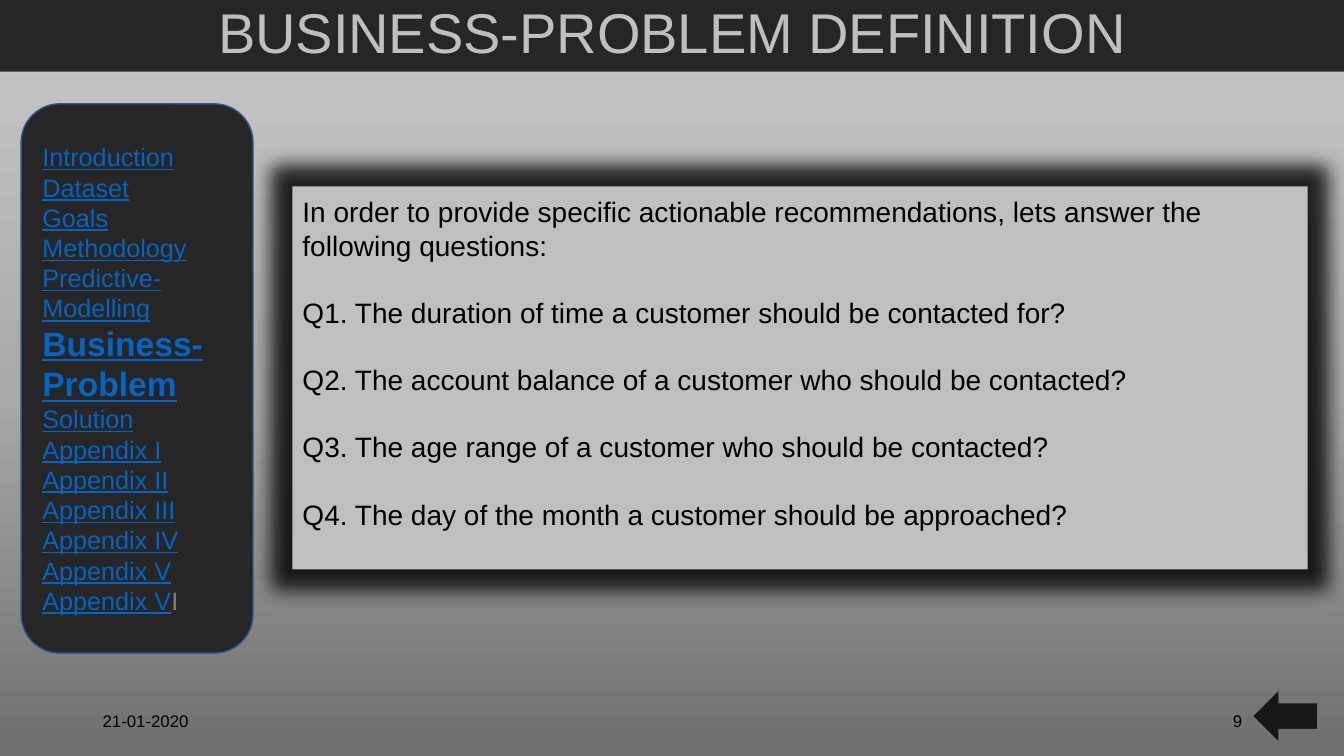
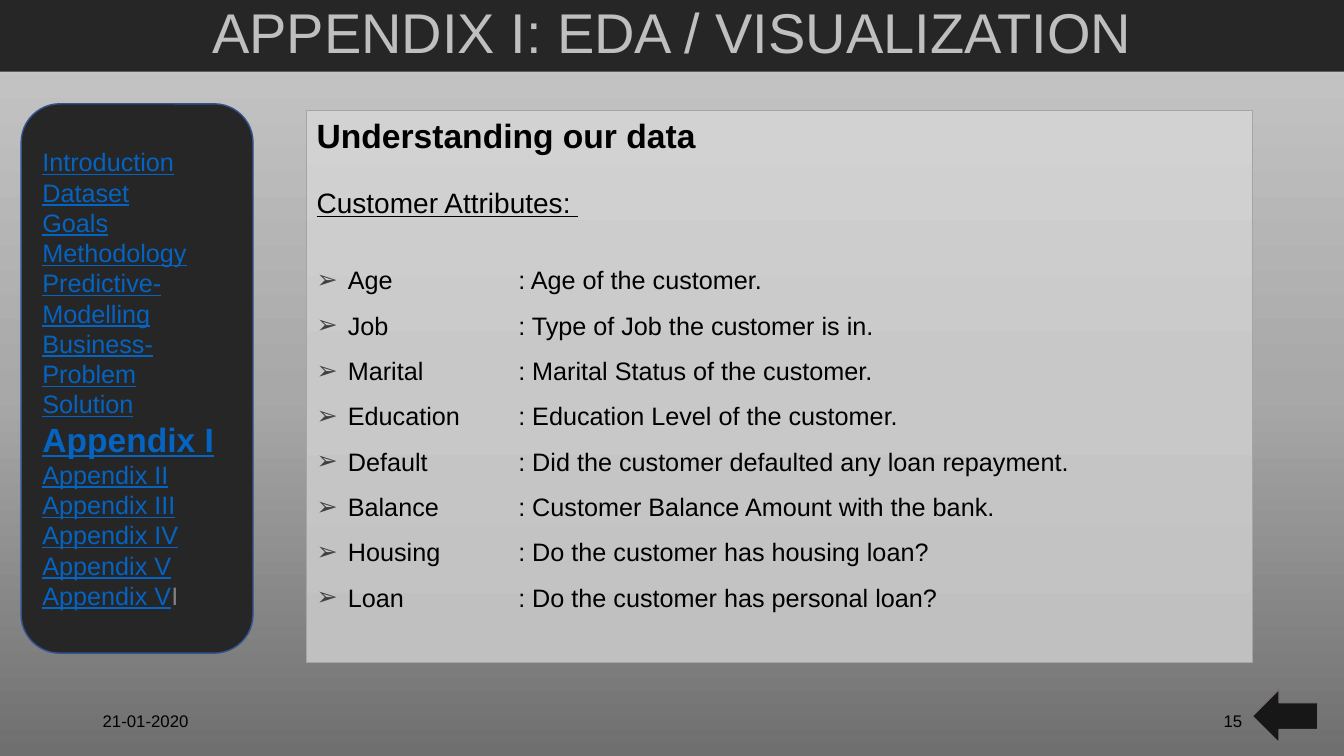
"""Build two slides of a bank marketing report with a shared navigation panel."""
from dataclasses import dataclass

from lxml import etree
from pptx import Presentation
from pptx.dml.color import RGBColor
from pptx.enum.shapes import MSO_SHAPE
from pptx.enum.text import MSO_ANCHOR, MSO_AUTO_SIZE, PP_ALIGN
from pptx.oxml.ns import qn
from pptx.util import Inches, Pt

LEFT, CENTER, RIGHT = PP_ALIGN.LEFT, PP_ALIGN.CENTER, PP_ALIGN.RIGHT
TOP, MIDDLE = MSO_ANCHOR.TOP, MSO_ANCHOR.MIDDLE
NO_FIT = MSO_AUTO_SIZE.NONE
NAV_SHAPE, BACK_ARROW = MSO_SHAPE.FLOWCHART_ALTERNATE_PROCESS, MSO_SHAPE.LEFT_ARROW


@dataclass(frozen=True)
class Theme:
    """Colours, fonts and type sizes of the deck."""
    font: str = "Arial"
    band: str = "262626"
    silver: str = "BFBFBF"
    text: str = "000000"
    link: str = "0563C1"
    muted: str = "808080"
    nav_line: str = "325491"
    arrow: str = "181717"
    arrow_line: str = "767171"
    panel_line: str = "A5A5A5"
    bullet: str = "404040"
    backdrop: tuple = ((0, "6F6F6F"), (48, "A8A8A8"), (100, "C9C9C9"))
    panel: tuple = ((0, "D2D2D2"), (50, "C8C8C8"), (100, "C0C0C0"))
    title_size: int = 40
    heading_size: int = 24
    body_size: int = 20
    list_size: int = 18
    footer_size: int = 12


@dataclass(frozen=True)
class Area:
    """A rectangle in inches."""
    left: float
    top: float
    width: float
    height: float


@dataclass(frozen=True)
class Span:
    """A run of text with its own look."""
    text: str
    size: int
    color: str
    bold: bool = False
    underline: bool = False


@dataclass(frozen=True)
class Line:
    """A paragraph with its spacing."""
    spans: tuple
    align: PP_ALIGN = LEFT
    after: float = 0
    spacing: float = 1.0
    bullet: bool = False


THEME = Theme()
TITLE = Area(0, 0, 13.33, 0.71)
DATE = Area(0.92, 6.95, 3, 0.4)
NUMBER = Area(9.42, 6.95, 3, 0.4)
NAV = Area(0.21, 1.03, 2.3, 5.45)
ARROW = Area(12.42, 6.84, 0.65, 0.53)
QUESTIONS = Area(2.9, 1.85, 10.07, 3.8)
ATTRIBUTES = Area(3.04, 1.09, 9.38, 5.48)
BULLET_INDENT, TAB_STOP = 0.31, 2.0

NAV_ITEMS = (
    "Introduction", "Dataset", "Goals", "Methodology", "Predictive-Modelling",
    "Business-Problem", "Solution", "Appendix I", "Appendix II",
    "Appendix III", "Appendix IV", "Appendix V",
)
QUESTION_LINES = (
    "In order to provide specific actionable recommendations, "
    "lets answer the following questions:",
    "Q1. The duration of time a customer should be contacted for?",
    "Q2. The account balance of a customer who should be contacted?",
    "Q3. The age range of a customer who should be contacted?",
    "Q4. The day of the month a customer should be approached?",
)
ATTRIBUTE_ROWS = (
    ("Age", "Age of the customer."),
    ("Job", "Type of Job the customer is in."),
    ("Marital", "Marital Status of the customer."),
    ("Education", "Education Level of the customer."),
    ("Default", "Did the customer defaulted any loan repayment."),
    ("Balance", "Customer Balance Amount with the bank."),
    ("Housing", "Do the customer has housing loan?"),
    ("Loan", "Do the customer has personal loan?"),
)


def add_node(parent, tag: str, **attributes):
    """Append an XML element and return it."""
    node = etree.SubElement(parent, qn(tag))
    for name, value in attributes.items():
        node.set(name, str(value))
    return node


def add_color(parent, color: str, opacity: int = 100) -> None:
    """Append an RGB colour, transparent if asked."""
    node = add_node(parent, "a:srgbClr", val=color)
    if opacity < 100:
        add_node(node, "a:alpha", val=opacity * 1000)


def set_gradient(holder, stops: tuple, angle: int) -> None:
    """Swap the solid fill of an element for a linear gradient."""
    solid = holder.find(qn("a:solidFill"))
    gradient = etree.Element(qn("a:gradFill"), rotWithShape="1")
    stop_list = add_node(gradient, "a:gsLst")
    for position, color in stops:
        add_color(add_node(stop_list, "a:gs", pos=position * 1000), color)
    add_node(gradient, "a:lin", ang=angle * 60000, scaled=0)
    holder.replace(solid, gradient)


def set_halo(box) -> None:
    """Surround a shape with a dark glow and a soft shadow."""
    box.shadow.inherit = False
    effects = box.element.spPr.find(qn("a:effectLst"))
    add_color(add_node(effects, "a:glow", rad=Pt(28)), THEME.text, 75)
    shadow = add_node(effects, "a:outerShdw", blurRad=Pt(5), dist=0, dir=0)
    add_color(shadow, THEME.text, 40)


def place(box, area: Area) -> None:
    """Move and size a shape."""
    box.left, box.top = Inches(area.left), Inches(area.top)
    box.width, box.height = Inches(area.width), Inches(area.height)


def paint(box, fill: str) -> None:
    """Give a shape a solid fill."""
    box.fill.solid()
    box.fill.fore_color.rgb = RGBColor.from_string(fill)


def outline(box, color: str, width: float) -> None:
    """Give a shape a coloured outline."""
    box.line.color.rgb = RGBColor.from_string(color)
    box.line.width = Pt(width)


def write(box, lines: list[Line], anchor: MSO_ANCHOR = MIDDLE) -> None:
    """Fill a shape with paragraphs, run by run."""
    frame = box.text_frame
    frame.word_wrap, frame.auto_size = True, NO_FIT
    frame.vertical_anchor = anchor
    for index, line in enumerate(lines):
        para = frame.paragraphs[0] if index == 0 else frame.add_paragraph()
        para.alignment, para.line_spacing = line.align, line.spacing
        para.space_before, para.space_after = Pt(0), Pt(line.after)
        set_bullet(para, line.bullet)
        for span in line.spans:
            run = para.add_run()
            run.text = span.text
            font = run.font
            font.name, font.size = THEME.font, Pt(span.size)
            font.bold, font.underline = span.bold, span.underline
            font.color.rgb = RGBColor.from_string(span.color)


def set_bullet(para, shown: bool) -> None:
    """Set the indents, bullet and tab stop of a paragraph."""
    properties = para._p.get_or_add_pPr()
    indent = Inches(BULLET_INDENT) if shown else 0
    properties.set("marL", str(indent))
    properties.set("indent", str(-indent))
    if not shown:
        add_node(properties, "a:buNone")
        return
    add_color(add_node(properties, "a:buClr"), THEME.bullet)
    add_node(properties, "a:buFont", typeface=THEME.font)
    add_node(properties, "a:buChar", char="➢")
    tabs = add_node(properties, "a:tabLst")
    add_node(tabs, "a:tab", pos=Inches(TAB_STOP), algn="l")


def add_shape(page, kind: MSO_SHAPE, area: Area, fill: str, line: str):
    """Draw an outlined preset shape without a shadow."""
    box = page.shapes.add_shape(kind, 0, 0, 0, 0)
    place(box, area)
    paint(box, fill)
    outline(box, line, 1)
    box.shadow.inherit = False
    return box


def add_footer(page, area: Area, text: str, align: PP_ALIGN) -> None:
    """Write one footer text."""
    box = page.shapes.add_textbox(0, 0, 0, 0)
    place(box, area)
    write(box, [Line((Span(text, THEME.footer_size, THEME.text),), align)])


def add_navigation(page, current: str) -> None:
    """Draw the contents panel with the current section enlarged."""
    box = add_shape(page, NAV_SHAPE, NAV, THEME.band, THEME.nav_line)
    lines = []
    for item in NAV_ITEMS:
        active = item == current
        size = THEME.heading_size if active else THEME.list_size
        lines.append(Line((Span(item, size, THEME.link, active, True),)))
    lines.append(Line((
        Span("Appendix V", THEME.list_size, THEME.link, underline=True),
        Span("I", THEME.list_size, THEME.muted),
    )))
    write(box, lines)


def add_page(deck, title: str, number: int, section: str):
    """Add a slide with the shared parts and return its body placeholder."""
    page = deck.slides.add_slide(deck.slide_layouts[1])
    heading, body = page.shapes.title, page.placeholders[1]
    place(heading, TITLE)
    paint(heading, THEME.band)
    span = Span(title, THEME.title_size, THEME.silver)
    write(heading, [Line((span,), CENTER, spacing=0.9)])
    add_footer(page, DATE, "21-01-2020", LEFT)
    add_footer(page, NUMBER, str(number), RIGHT)
    add_navigation(page, section)
    add_shape(page, BACK_ARROW, ARROW, THEME.arrow, THEME.arrow_line)
    return body


def build_questions(deck) -> None:
    """Build the slide with the business questions."""
    body = add_page(deck, "BUSINESS-PROBLEM DEFINITION", 9, "Business-Problem")
    place(body, QUESTIONS)
    paint(body, THEME.silver)
    set_halo(body)
    body.text_frame.margin_top = Inches(0.08)
    write(body, [Line((Span(text, THEME.body_size, THEME.text),), after=24)
                 for text in QUESTION_LINES], TOP)


def build_attributes(deck) -> None:
    """Build the slide with the customer attributes."""
    body = add_page(deck, "APPENDIX I: EDA / VISUALIZATION", 15, "Appendix I")
    place(body, ATTRIBUTES)
    paint(body, THEME.silver)
    set_gradient(body.element.spPr, THEME.panel, 90)
    outline(body, THEME.panel_line, 0.5)
    heading = Span("Understanding our data", THEME.heading_size, THEME.text, True)
    label = Span("Customer Attributes: ", THEME.body_size, THEME.text, underline=True)
    lines = [Line((heading,), after=21.6), Line((label,), after=21.6)]
    for name, meaning in ATTRIBUTE_ROWS:
        span = Span(f"{name}\t: {meaning}", THEME.list_size, THEME.text)
        lines.append(Line((span,), spacing=1.5, bullet=True))
    write(body, lines, TOP)


def main() -> None:
    """Build and save the deck."""
    deck = Presentation()
    deck.slide_width, deck.slide_height = Inches(13.33), Inches(7.5)
    master = deck.slide_master
    master.background.fill.solid()
    set_gradient(master.element.find(".//" + qn("p:bgPr")), THEME.backdrop, 270)
    build_questions(deck)
    build_attributes(deck)
    deck.save("out.pptx")


if __name__ == "__main__":
    main()
